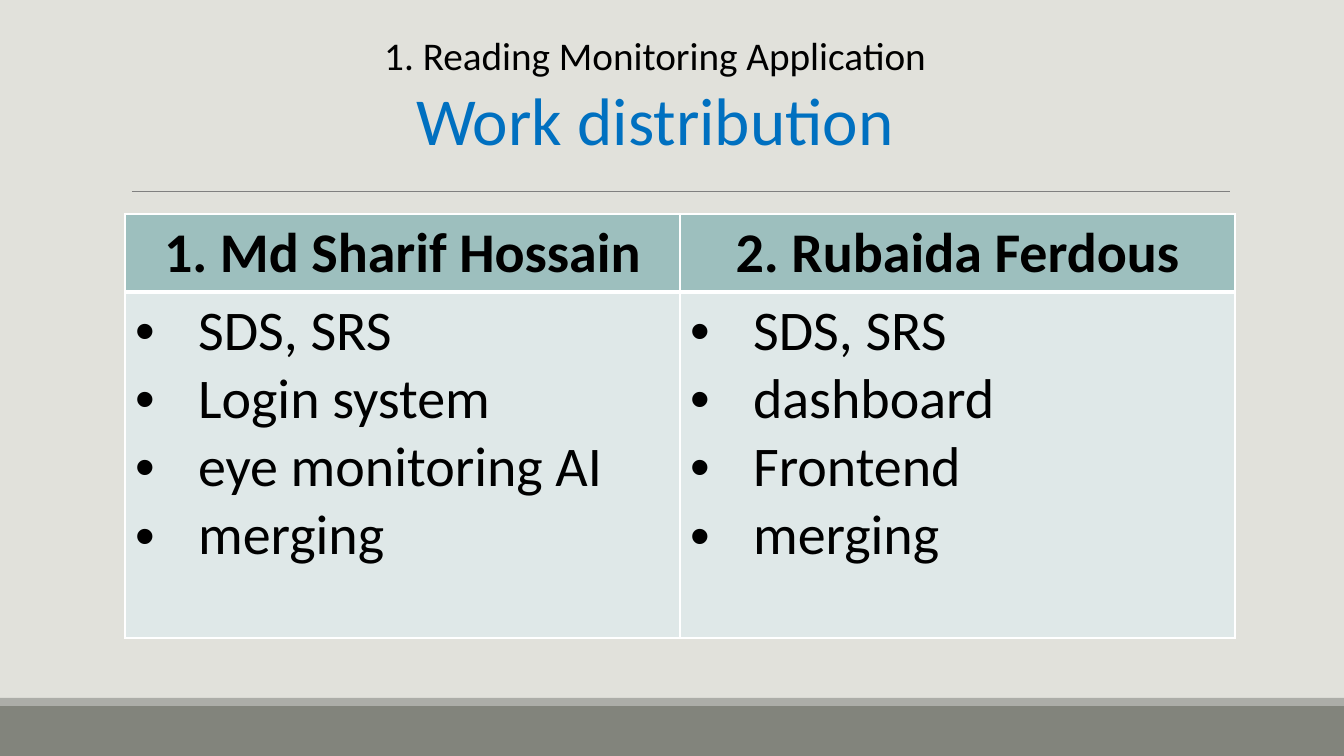
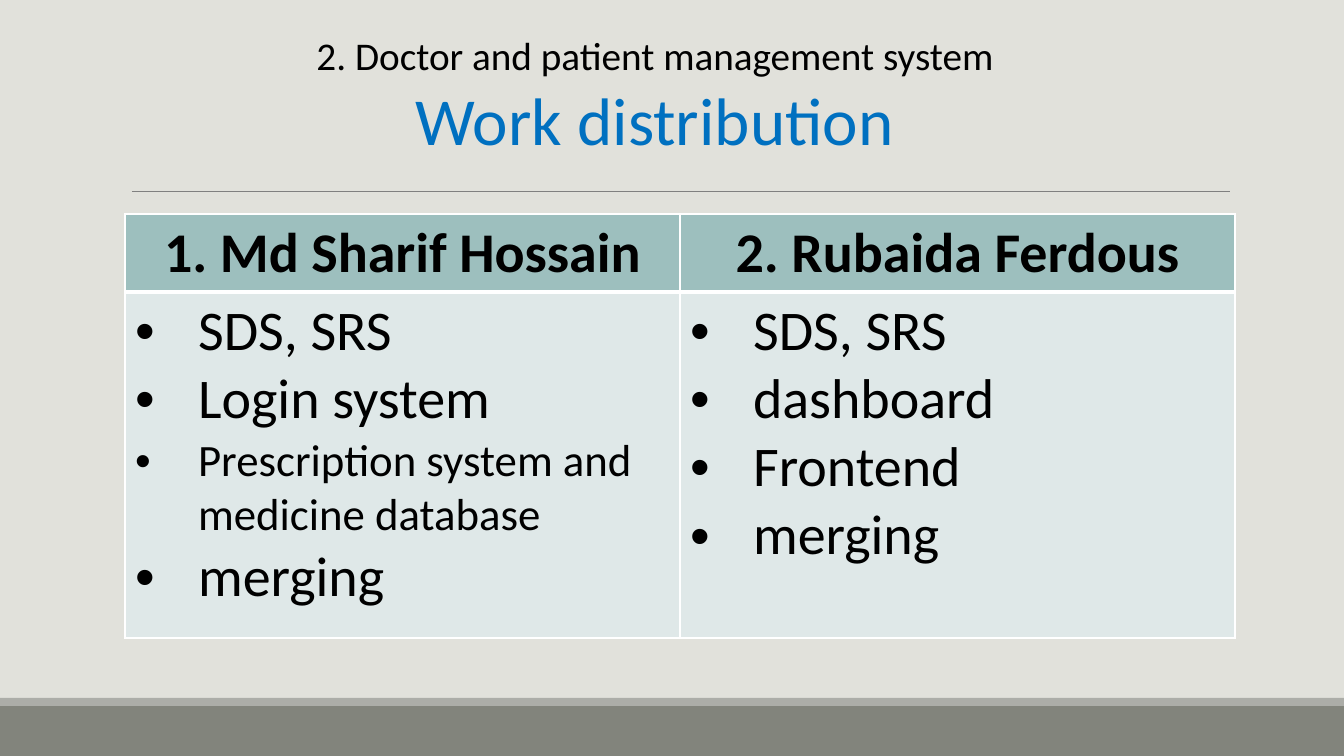
"""Builds the two work distribution slides."""
import dataclasses
import typing

import lxml.etree
import pptx
import pptx.dml.color
import pptx.enum.shapes
import pptx.enum.text
import pptx.oxml.ns
import pptx.util

SLIDE_WIDTH, SLIDE_HEIGHT = 1344, 756
EMU_PER_PIXEL = 12192000 / SLIDE_WIDTH
FONT = "Calibri"
BACKGROUND, BLACK, BLUE, WHITE = "E1E1DB", "000000", "0070C0", "FFFFFF"
RULE_COLOUR, HEADER_FILL, BODY_FILL = "808080", "9DBFBE", "DFE8E8"
TITLE_CENTRE, TITLE_TOP, TITLE_HEIGHT = 655, 26, 139
RULE_LEFT, RULE_RIGHT, RULE_TOP = 132, 1230, 191
TABLE_LEFT, TABLE_TOP = 125, 214
COLUMN_WIDTH, ROW_HEIGHTS = 555, (78, 346)
BULLET_INDENT = 63
THIN_BORDER, THICK_BORDER = 1, 3
CENTRE = pptx.enum.text.PP_ALIGN.CENTER
LEFT = pptx.enum.text.PP_ALIGN.LEFT


@dataclasses.dataclass(frozen=True)
class Band:
    """A full-width strip at the foot of a slide."""
    top: int
    height: int
    colour: str


@dataclasses.dataclass(frozen=True)
class Line:
    """One paragraph of text and its format."""
    text: str
    size: int = 40
    colour: str = BLACK
    bold: bool = False
    alignment: typing.Any = LEFT
    bullet: bool = False


@dataclasses.dataclass(frozen=True)
class Member:
    """A team member with the tasks assigned."""
    name: str
    tasks: tuple[Line, ...]


@dataclasses.dataclass(frozen=True)
class Project:
    """The content of one slide."""
    name: str
    title_width: int
    members: tuple[Member, ...]


def task(text: str, size: int = 40) -> Line:
    """Return a bulleted task."""
    return Line(text, size, bullet=True)


BANDS = (Band(706, 50, "82847C"), Band(698, 8, "ACADA8"))
SHARIF = "1. Md Sharif Hossain"
RUBAIDA = Member("2. Rubaida Ferdous", (
    task("SDS, SRS"), task("dashboard"), task("Frontend"), task("merging")))
PROJECTS = (
    Project("1. Reading Monitoring Application", 568, (
        Member(SHARIF, (task("SDS, SRS"), task("Login system"),
                        task("eye monitoring AI"), task("merging"))),
        RUBAIDA)),
    Project("2. Doctor and patient management system", 706, (
        Member(SHARIF, (task("SDS, SRS"), task("Login system"),
                        task("Prescription system and medicine database", 32),
                        task("merging"))),
        RUBAIDA)),
)


def pixels(length: float) -> pptx.util.Emu:
    """Turn picture pixels into EMU."""
    return pptx.util.Emu(round(length * EMU_PER_PIXEL))


def colour(value: str) -> pptx.dml.color.RGBColor:
    """Turn a hex string into a colour."""
    return pptx.dml.color.RGBColor.from_string(value)


def fill_solid(target: typing.Any, value: str) -> None:
    """Give a shape, cell or background a solid fill."""
    target.fill.solid()
    target.fill.fore_color.rgb = colour(value)


def add_child(parent: typing.Any, tag: str, **attributes: str) -> typing.Any:
    """Append a drawing element with the given attributes."""
    return lxml.etree.SubElement(parent, pptx.oxml.ns.qn(tag), attributes)


def add_bullet(paragraph: typing.Any) -> None:
    """Give a paragraph a round bullet and a hanging indent."""
    properties = paragraph._p.get_or_add_pPr()
    indent = pixels(BULLET_INDENT)
    properties.set("marL", str(indent))
    properties.set("indent", str(-indent))
    add_child(properties, "a:buFont", typeface="Arial")
    add_child(properties, "a:buChar", char="•")


def write_lines(text_frame: typing.Any, lines: typing.Sequence[Line]) -> None:
    """Write each line as a formatted paragraph."""
    for index, line in enumerate(lines):
        paragraph = text_frame.add_paragraph() if index else text_frame.paragraphs[0]
        paragraph.alignment = line.alignment
        if line.bullet:
            add_bullet(paragraph)
        run = paragraph.add_run()
        run.text = line.text
        font_format = {"name": FONT, "size": pptx.util.Pt(line.size), "bold": line.bold}
        for name, value in font_format.items():
            setattr(run.font, name, value)
        run.font.color.rgb = colour(line.colour)


def draw_frame(slide: typing.Any) -> None:
    """Draw the foot bands and the rule below the title."""
    for band in BANDS:
        shape = slide.shapes.add_shape(
            pptx.enum.shapes.MSO_SHAPE.RECTANGLE,
            0, pixels(band.top), pixels(SLIDE_WIDTH), pixels(band.height))
        shape.shadow.inherit = False
        fill_solid(shape, band.colour)
        shape.line.fill.background()
    rule = slide.shapes.add_connector(
        pptx.enum.shapes.MSO_CONNECTOR.STRAIGHT,
        pixels(RULE_LEFT), pixels(RULE_TOP), pixels(RULE_RIGHT), pixels(RULE_TOP))
    rule.line.color.rgb = colour(RULE_COLOUR)
    rule.line.width = pptx.util.Pt(0.5)
    add_child(rule._element.spPr, "a:effectLst")


def draw_title(slide: typing.Any, project: Project) -> None:
    """Draw the project name above the slide title."""
    box = slide.shapes.add_textbox(
        pixels(TITLE_CENTRE - project.title_width / 2), pixels(TITLE_TOP),
        pixels(project.title_width), pixels(TITLE_HEIGHT))
    frame_format = {"word_wrap": False,
                    "auto_size": pptx.enum.text.MSO_AUTO_SIZE.SHAPE_TO_FIT_TEXT}
    for name, value in frame_format.items():
        setattr(box.text_frame, name, value)
    write_lines(box.text_frame, (
        Line(project.name, 28, alignment=CENTRE),
        Line("Work distribution", 48, BLUE, alignment=CENTRE)))


def set_borders(cell: typing.Any, widths: dict[str, int]) -> None:
    """Draw white cell borders, given widths in points by side."""
    properties = cell._tc.get_or_add_tcPr()
    for index, side in enumerate("LRTB"):
        width = pptx.util.Pt(widths.get(side, THIN_BORDER))
        border = add_child(properties, f"a:ln{side}", w=str(width))
        add_child(add_child(border, "a:solidFill"), "a:srgbClr", val=WHITE)
        properties.insert(index, border)


def draw_table(slide: typing.Any, members: typing.Sequence[Member]) -> None:
    """Draw one column of tasks for each member."""
    table = slide.shapes.add_table(
        len(ROW_HEIGHTS), len(members), pixels(TABLE_LEFT), pixels(TABLE_TOP),
        pixels(COLUMN_WIDTH * len(members)), pixels(sum(ROW_HEIGHTS))).table
    table.horz_banding = False
    for row, height in zip(table.rows, ROW_HEIGHTS):
        row.height = pixels(height)
    for column, member in enumerate(members):
        table.columns[column].width = pixels(COLUMN_WIDTH)
        header, body = table.cell(0, column), table.cell(1, column)
        name = Line(member.name, bold=True, alignment=CENTRE)
        for cell, lines, fill, thick_side in (
                (header, (name,), HEADER_FILL, "B"),
                (body, member.tasks, BODY_FILL, "T")):
            write_lines(cell.text_frame, lines)
            fill_solid(cell, fill)
            set_borders(cell, {thick_side: THICK_BORDER})


def main() -> None:
    """Build and save the presentation."""
    presentation = pptx.Presentation()
    presentation.slide_width = pixels(SLIDE_WIDTH)
    presentation.slide_height = pixels(SLIDE_HEIGHT)
    fill_solid(presentation.slide_master.background, BACKGROUND)
    blank_layout = presentation.slide_layouts[6]
    for project in PROJECTS:
        slide = presentation.slides.add_slide(blank_layout)
        draw_frame(slide)
        draw_title(slide, project)
        draw_table(slide, project.members)
    presentation.save("out.pptx")


main()
